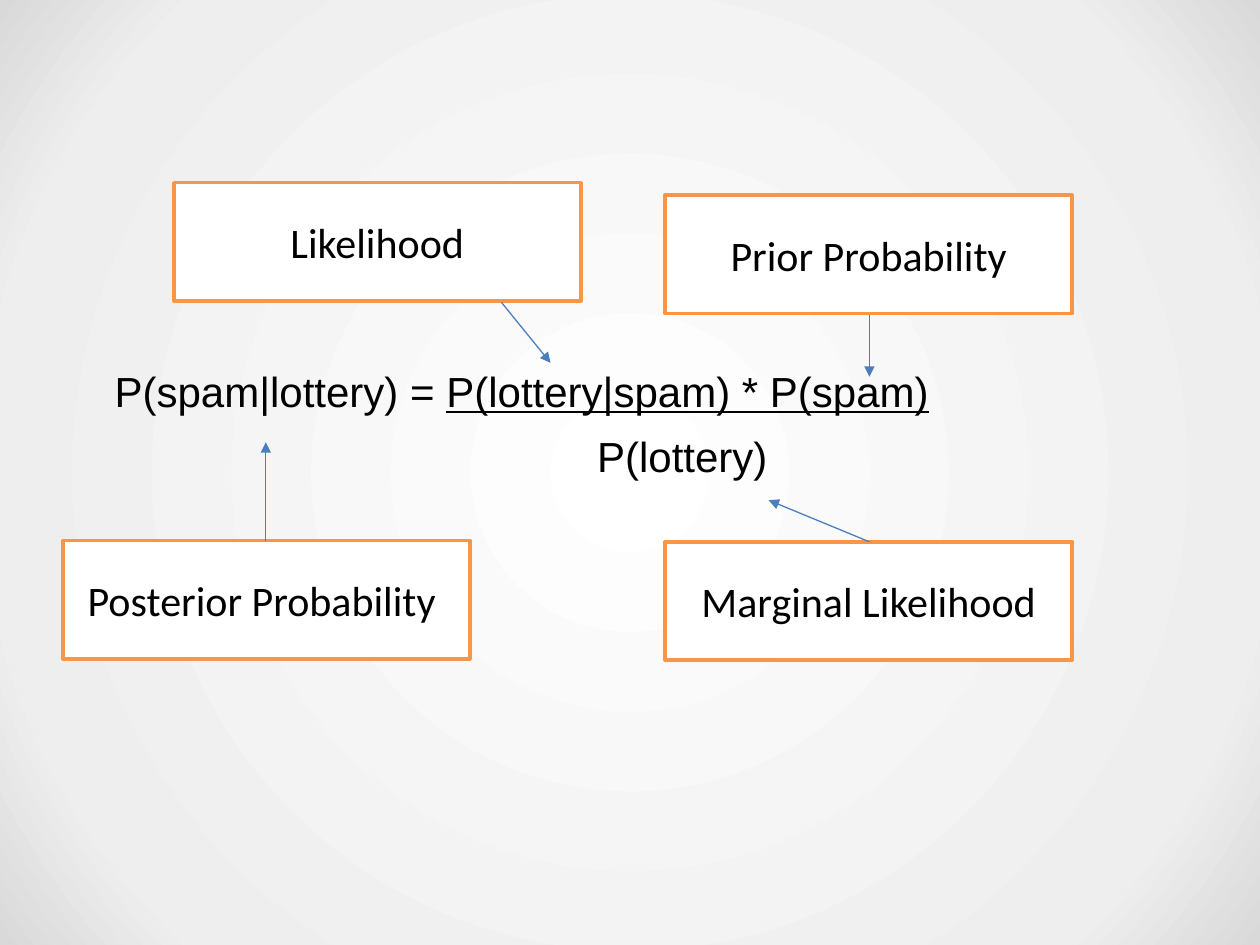
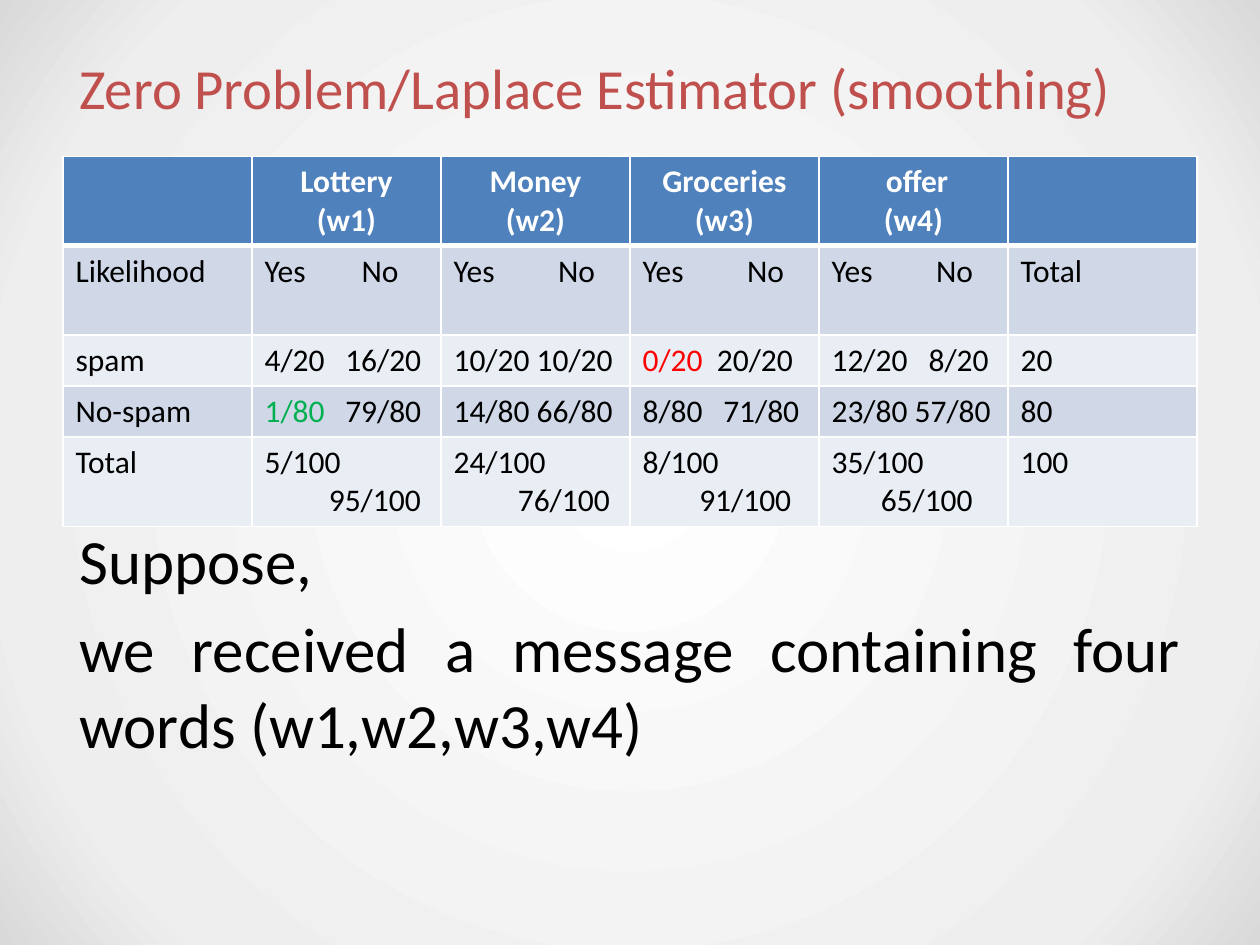
from pptx import Presentation
from pptx import util as u
from pptx.dml.color import RGBColor
from pptx.enum import shapes, text
from pptx.oxml import ns, parse_xml

WHITE = RGBColor(0xFF, 0xFF, 0xFF)
BLACK = RGBColor(0, 0, 0)
BRICK = RGBColor(0xC0, 0x50, 0x4D)
ORANGE = RGBColor(0xF7, 0x96, 0x46)
STEEL = RGBColor(0x4B, 0x7E, 0xBC)
BLUE = RGBColor(0x4F, 0x81, 0xBD)
PALE = RGBColor(0xD0, 0xD8, 0xE8)
MIST = RGBColor(0xE9, 0xED, 0xF4)
RED = RGBColor(0xFF, 0, 0)
GREEN = RGBColor(0, 0xB0, 0x50)
SILVER = RGBColor(0xEE, 0xEE, 0xEE)
GREY = RGBColor(0xD9, 0xD9, 0xD9)
GLOW = [(0, WHITE), (81, SILVER), (100, GREY)]
LEFT, MID, JUST = text.PP_ALIGN.LEFT, text.PP_ALIGN.CENTER, text.PP_ALIGN.JUSTIFY
COLS, ROWS = 100, 75
WIDE, HIGH = u.Inches(10), u.Inches(7.5)


def write(frame, paras, size=18, font="Calibri", color=BLACK, bold=False,
          align=LEFT, after=0, tab=None, dents=()):
    """Fill a frame; a paragraph is a string or a list of (text, color, underline)."""
    for i, runs in enumerate(paras):
        p = frame.paragraphs[0] if i == 0 else frame.add_paragraph()
        p.alignment, p.space_before, p.space_after = align, u.Pt(0), u.Pt(after)
        props = p._p.get_or_add_pPr()
        if i < len(dents):
            props.set("marL", str(u.Inches(dents[i])))
        if tab:
            props.append(parse_xml(f'<a:tabLst {ns.nsdecls("a")}>'
                                   f'<a:tab pos="{u.Inches(tab)}" algn="l"/></a:tabLst>'))
        for word, hue, line in [(runs, color, False)] if isinstance(runs, str) else runs:
            r = p.add_run()
            r.text = word
            r.font.size, r.font.name, r.font.bold = u.Pt(size), font, bold
            r.font.color.rgb, r.font.underline = hue, line


class Deck:
    """Style of the deck and the slide being built."""

    def __init__(self):
        self.prs = Presentation()
        self.prs.slide_width, self.prs.slide_height = WIDE, HIGH
        self.slide = None
        self.glow()

    def glow(self):
        """Give the master its round gradient."""
        master = self.prs.slide_master
        master.background.fill.solid()
        props = master.element.find(".//" + ns.qn("p:bgPr"))
        stops = "".join(f'<a:gs pos="{at * 1000}"><a:srgbClr val="{hue}"/></a:gs>'
                        for at, hue in GLOW)
        props.replace(props[0], parse_xml(
            f'<a:gradFill {ns.nsdecls("a")} rotWithShape="1"><a:gsLst>{stops}</a:gsLst>'
            '<a:path path="circle"><a:fillToRect l="50000" t="50000" r="50000" b="50000"/>'
            '</a:path></a:gradFill>'))

    def area(self, x, y, w, h):
        """Turn grid columns and rows into lengths."""
        return [round(n) for n in (x * WIDE / COLS, y * HIGH / ROWS,
                                   w * WIDE / COLS, h * HIGH / ROWS)]

    def pad(self, frame):
        """Set the insets shared by titles and body text."""
        frame.word_wrap = True
        frame.margin_left = frame.margin_right = u.Inches(0.13)
        frame.margin_top = frame.margin_bottom = u.Inches(0.07)

    def page(self, title=None):
        """Start a slide, with a title if given."""
        self.slide = self.prs.slides.add_slide(self.prs.slide_layouts[5 if title else 6])
        if title:
            head = self.slide.shapes.title
            head.left, head.top, head.width, head.height = self.area(5, 3, 90, 7.8)
            self.pad(head.text_frame)
            head.text_frame.vertical_anchor = text.MSO_ANCHOR.MIDDLE
            write(head.text_frame, [title], size=32.4, color=BRICK)

    def body(self, place, paras, **fmt):
        """Add free text."""
        frame = self.slide.shapes.add_textbox(*self.area(*place)).text_frame
        self.pad(frame)
        write(frame, paras, **fmt)

    def label(self, x, y, word):
        """Add an outlined box with a term."""
        box = self.slide.shapes.add_shape(shapes.MSO_SHAPE.RECTANGLE,
                                          *self.area(x, y, 32.3, 9.4))
        box.shadow.inherit = False
        box.fill.solid()
        box.fill.fore_color.rgb = WHITE
        box.line.color.rgb, box.line.width = ORANGE, u.Pt(2)
        box.text_frame.word_wrap = True
        box.text_frame.vertical_anchor = text.MSO_ANCHOR.MIDDLE
        write(box.text_frame, [word], size=24, align=MID)

    def arrow(self, *ends):
        """Add a thin arrow between two grid points."""
        line = self.slide.shapes.add_connector(shapes.MSO_CONNECTOR.STRAIGHT,
                                               *self.area(*ends))
        line.line.color.rgb, line.line.width = STEEL, u.Pt(0.75)
        for tag in ('tailEnd type="triangle"', None):
            host = line.line._get_or_add_ln() if tag else line._element.spPr
            host.append(parse_xml(f'<a:{tag or "effectLst"} {ns.nsdecls("a")}/>'))

    def cell(self, cell, hue, foot=1, head=1):
        """Fill a cell and rule its edges in white."""
        cell.fill.solid()
        cell.fill.fore_color.rgb = hue
        props = cell._tc.get_or_add_tcPr()
        for i, (side, size) in enumerate(zip("LRTB", (1, 1, head, foot))):
            props.insert(i, parse_xml(
                f'<a:ln{side} {ns.nsdecls("a")} w="{u.Pt(size)}"><a:solidFill>'
                f'<a:srgbClr val="{WHITE}"/></a:solidFill></a:ln{side}>'))

    def table(self, place, heads, rows, highs):
        """Add a table; a pair cell is (paragraphs, tab, indents)."""
        grid = self.slide.shapes.add_table(len(rows) + 1, len(heads),
                                           *self.area(*place)).table
        for row, high in zip(grid.rows, highs):
            row.height = self.area(0, 0, 0, high)[3]
        for c, head in enumerate(heads):
            self.cell(grid.cell(0, c), BLUE, foot=3)
            write(grid.cell(0, c).text_frame, head, color=WHITE, bold=True, align=MID)
        for r, row in enumerate(rows, 1):
            for c, (paras, tab, dents) in enumerate(row):
                self.cell(grid.cell(r, c), PALE if r % 2 else MIST, head=3 if r == 1 else 1)
                write(grid.cell(r, c).text_frame, paras, tab=tab, dents=dents)


def plain(word):
    """Make a one-line cell."""
    return [word], None, ()


def pair(one, two, tab, hue=BLACK):
    """Make a cell of two values set apart by a tab."""
    return [[(one, hue, False), ("\t" + two, BLACK, False)]], tab, ()


def stack(one, two, dent):
    """Make a cell with the second value indented below the first."""
    return [one, two], None, (0, dent)


deck = Deck()

deck.page()
deck.body((7.8, 28.3, 80, 10),
          [[("P(spam|lottery) = ", BLACK, False),
            ("P(lottery|spam) * P(spam)\t", BLACK, True)], "P(lottery)"],
          size=24, font="Arial", after=8.4, tab=6.64, dents=(0, 3.83))
for spot in [(13.8, 14.5, "Likelihood"), (52.8, 15.5, "Prior Probability"),
             (52.8, 43, "Marginal Likelihood"), (5, 42.9, "Posterior Probability ")]:
    deck.label(*spot)
for ends in [(39.8, 24, 43.7, 28.8), (69, 25, 69, 29.9),
             (21.1, 42.9, 21.1, 35.1), (69, 43, 61, 39.7)]:
    deck.arrow(*ends)

deck.page("Zero Problem/Laplace Estimator (smoothing)")
deck.body((5, 40.7, 90, 26),
          ["Suppose, ", "we received a message containing four words (w1,w2,w3,w4)"],
          size=36, align=JUST, after=7.2)
deck.table(
    (5, 12.4, 90, 29.1),
    [[], ["Lottery", "(w1)"], ["Money", "(w2)"], ["Groceries", "(w3)"],
     [" offer", "(w4)"], []],
    [[plain("Likelihood"), pair("Yes", "No", 0.77), *[pair("Yes", "No", 0.83)] * 3,
      plain("Total")],
     [plain("spam"), pair("4/20", "16/20", 0.64), plain("10/20 10/20"),
      pair("0/20", "20/20", 0.59, RED), pair("12/20", "8/20", 0.77), plain("20")],
     [plain("No-spam"), pair("1/80", "79/80", 0.64, GREEN), plain("14/80 66/80"),
      pair("8/80", "71/80", 0.64), plain("23/80 57/80"), plain("80")],
     [plain("Total"), stack("5/100", "95/100", 0.51), stack("24/100", "76/100", 0.51),
      stack("8/100", "91/100", 0.45), stack("35/100", "65/100", 0.39), plain("100")]],
    (7.1, 7.1, 4.05, 4.05, 7.1))

deck.prs.save("out.pptx")
